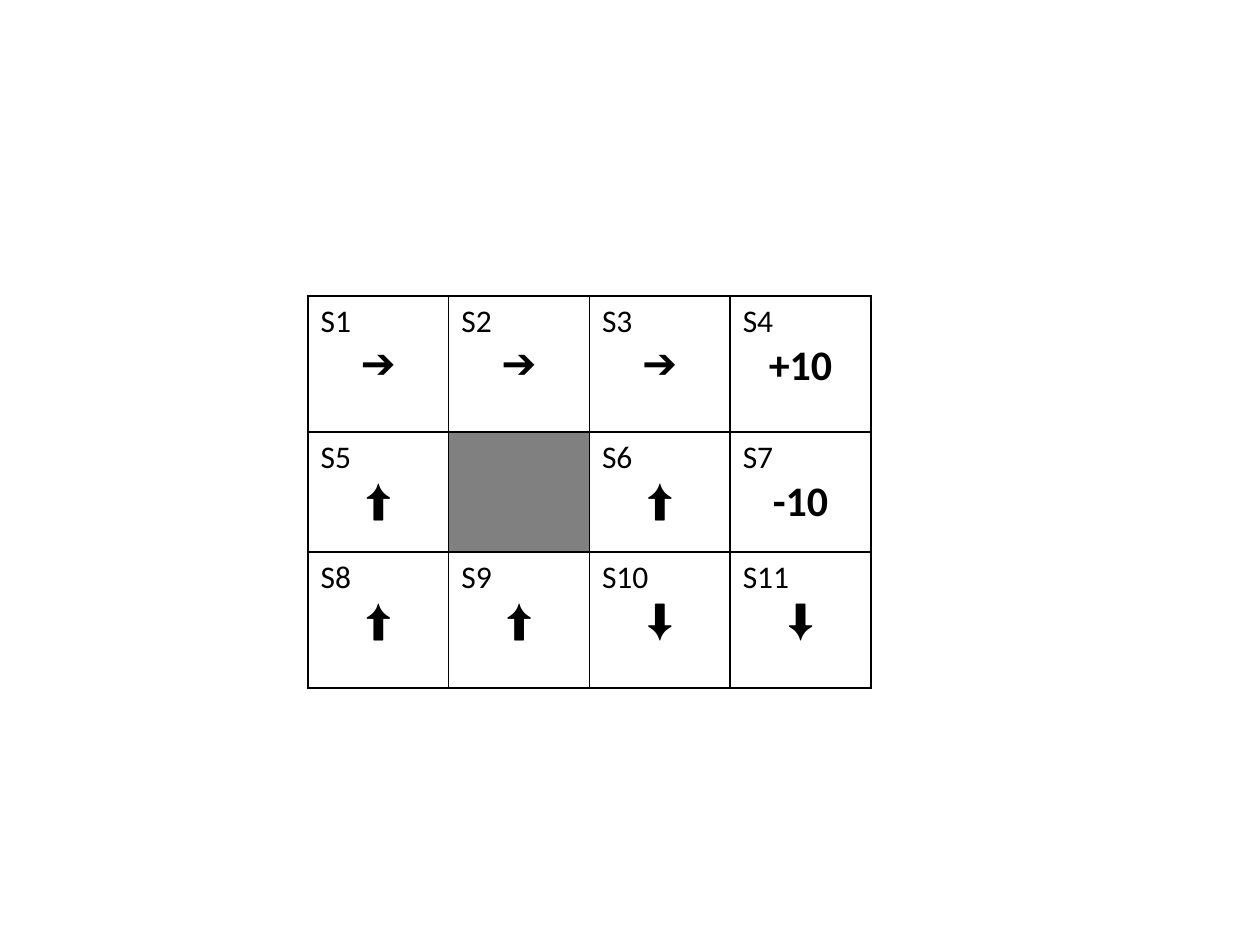
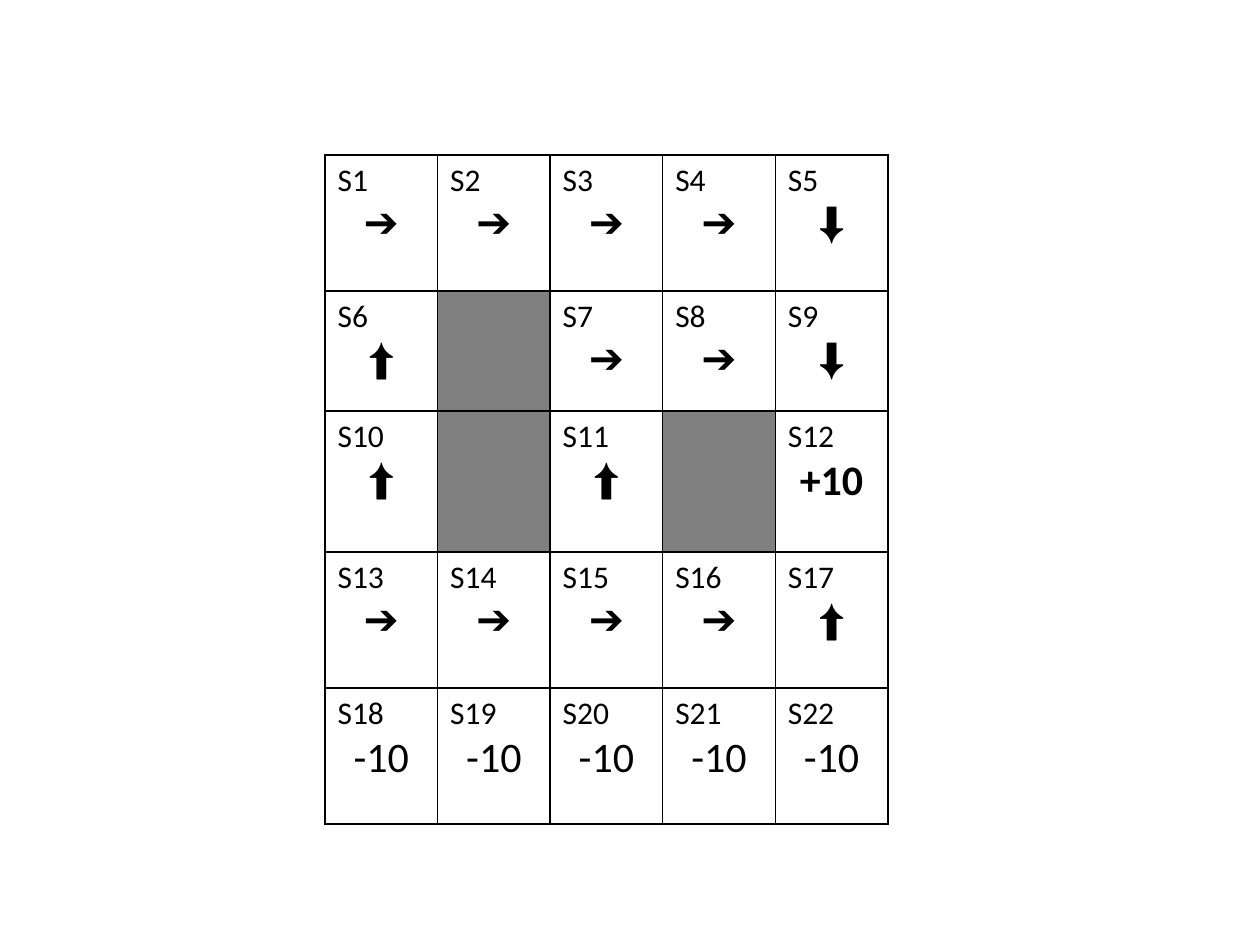
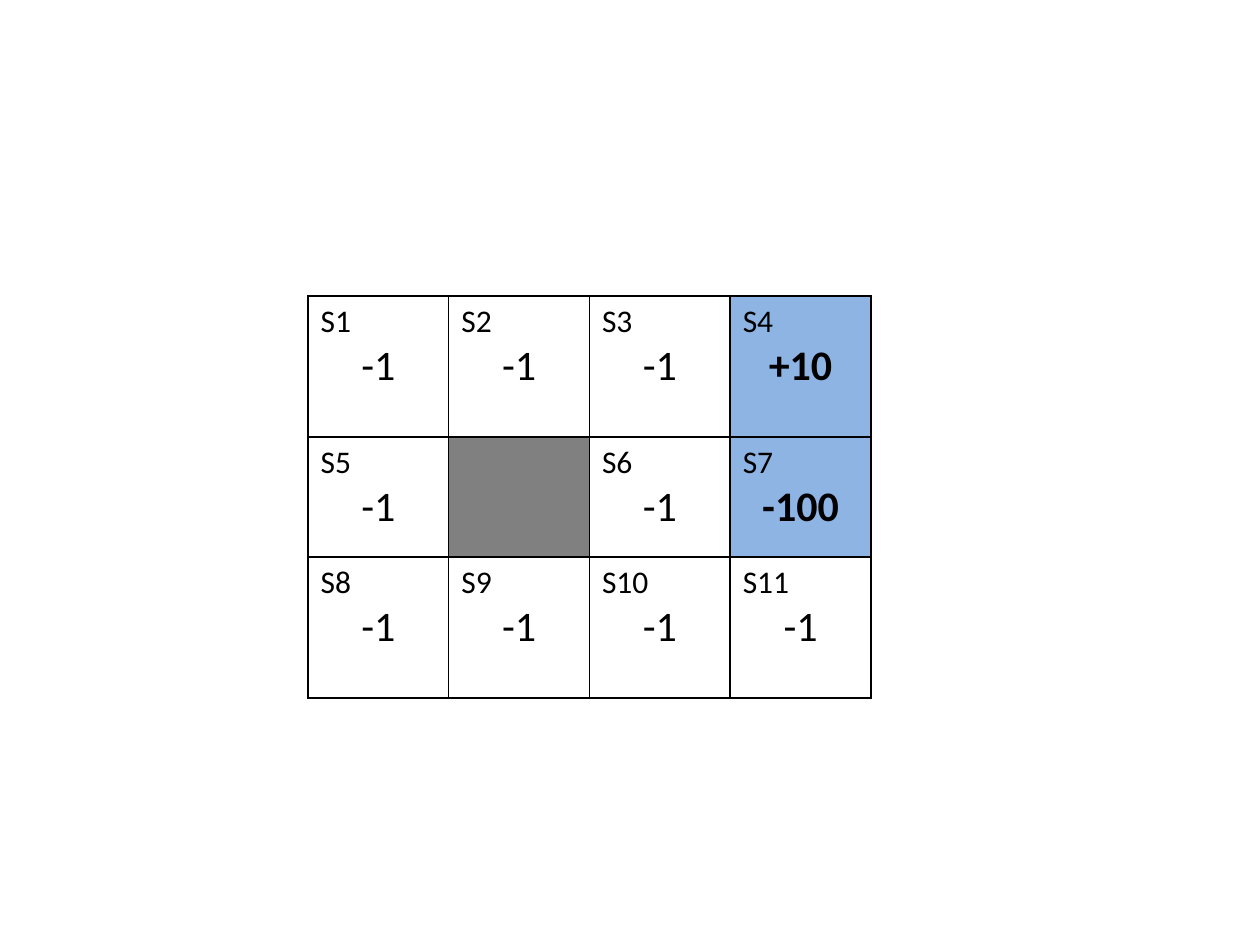
from dataclasses import dataclass
from itertools import count

from lxml import etree
from pptx import Presentation
from pptx import util as u
from pptx.dml.color import RGBColor
from pptx.enum import text
from pptx.oxml import ns

# Shared look
PIXEL = u.Inches(1) / 126
COLOURS = {"ink": "000000", "wall": "808080", "terminal": "8EB4E3"}
GRID_WIDTH = 563
LABEL_SIZE, MARK_SIZE, BORDER = 18, 24, 1


def px(pixels: float) -> int:
    return round(pixels * PIXEL)


@dataclass(frozen=True)
class Mark:
    """What stands in one grid cell below its state label."""
    text: str = ""
    font: str = "Calibri"
    bold: bool = False
    fill: str | None = None


@dataclass(frozen=True)
class Grid:
    left: int
    top: int
    row_heights: list[int]
    marks: list[list[Mark]]


# Cell contents
RIGHT, UP, DOWN = (Mark(arrow, "Arial") for arrow in "➔⬆⬇")
WALL = Mark(fill="wall")
GOAL, PIT = Mark("+10", bold=True), Mark("-10", bold=True)
LOSS, STEP = Mark("-10"), Mark("-1")
END_GOAL = Mark("+10", bold=True, fill="terminal")
END_PIT = Mark("-100", bold=True, fill="terminal")

GRIDS = [
    Grid(308, 296, [136, 120, 136], [
        [RIGHT, RIGHT, RIGHT, GOAL],
        [UP, WALL, UP, PIT],
        [UP, UP, DOWN, DOWN],
    ]),
    Grid(325, 155, [136, 120, 141, 136, 136], [
        [RIGHT, RIGHT, RIGHT, RIGHT, DOWN],
        [UP, WALL, RIGHT, RIGHT, DOWN],
        [UP, WALL, UP, WALL, GOAL],
        [RIGHT, RIGHT, RIGHT, RIGHT, UP],
        [LOSS] * 5,
    ]),
    Grid(308, 296, [141, 120, 141], [
        [STEP, STEP, STEP, END_GOAL],
        [STEP, WALL, STEP, END_PIT],
        [STEP] * 4,
    ]),
]


def add_borders(cell) -> None:
    """Draw a thin line on all four sides; lines precede the fill."""
    properties = cell._tc.get_or_add_tcPr()
    for position, side in enumerate(("lnL", "lnR", "lnT", "lnB")):
        line = etree.Element(ns.qn(f"a:{side}"), w=str(u.Pt(BORDER)))
        fill = etree.SubElement(line, ns.qn("a:solidFill"))
        etree.SubElement(fill, ns.qn("a:srgbClr"), val=COLOURS["ink"])
        properties.insert(position, line)


def format_run(paragraph, size: int, font: str, bold: bool = False) -> None:
    run = paragraph.runs[0]
    run.font.size = u.Pt(size)
    run.font.name = font
    run.font.bold = bold
    run.font.color.rgb = RGBColor.from_string(COLOURS["ink"])


def fill_cell(cell, mark: Mark) -> None:
    if mark.fill:
        cell.fill.solid()
        cell.fill.fore_color.rgb = RGBColor.from_string(COLOURS[mark.fill])
    else:
        cell.fill.background()
    add_borders(cell)


def write_state(cell, number: int, mark: Mark) -> None:
    label = cell.text_frame.paragraphs[0]
    label.text = f"S{number}"
    format_run(label, LABEL_SIZE, "Calibri")
    value = cell.text_frame.add_paragraph()
    value.text = mark.text
    value.alignment = text.PP_ALIGN.CENTER
    format_run(value, MARK_SIZE, mark.font, mark.bold)


def draw_grid(slide, grid: Grid) -> None:
    rows, columns = len(grid.marks), len(grid.marks[0])
    table = slide.shapes.add_table(
        rows, columns, px(grid.left), px(grid.top),
        px(GRID_WIDTH), px(sum(grid.row_heights))).table
    table.first_row = table.horz_banding = False
    for column in table.columns:
        column.width = px(GRID_WIDTH / columns)
    for row, height in zip(table.rows, grid.row_heights):
        row.height = px(height)

    # States are numbered in reading order, skipping walls
    numbers = count(1)
    for row, marks in zip(table.rows, grid.marks):
        for cell, mark in zip(row.cells, marks):
            fill_cell(cell, mark)
            if mark.text:
                write_state(cell, next(numbers), mark)


# Build the slides
presentation = Presentation()
presentation.slide_width = u.Inches(10)
presentation.slide_height = u.Inches(7.5)
blank_layout = presentation.slide_layouts[6]
for grid in GRIDS:
    draw_grid(presentation.slides.add_slide(blank_layout), grid)
presentation.save("out.pptx")
